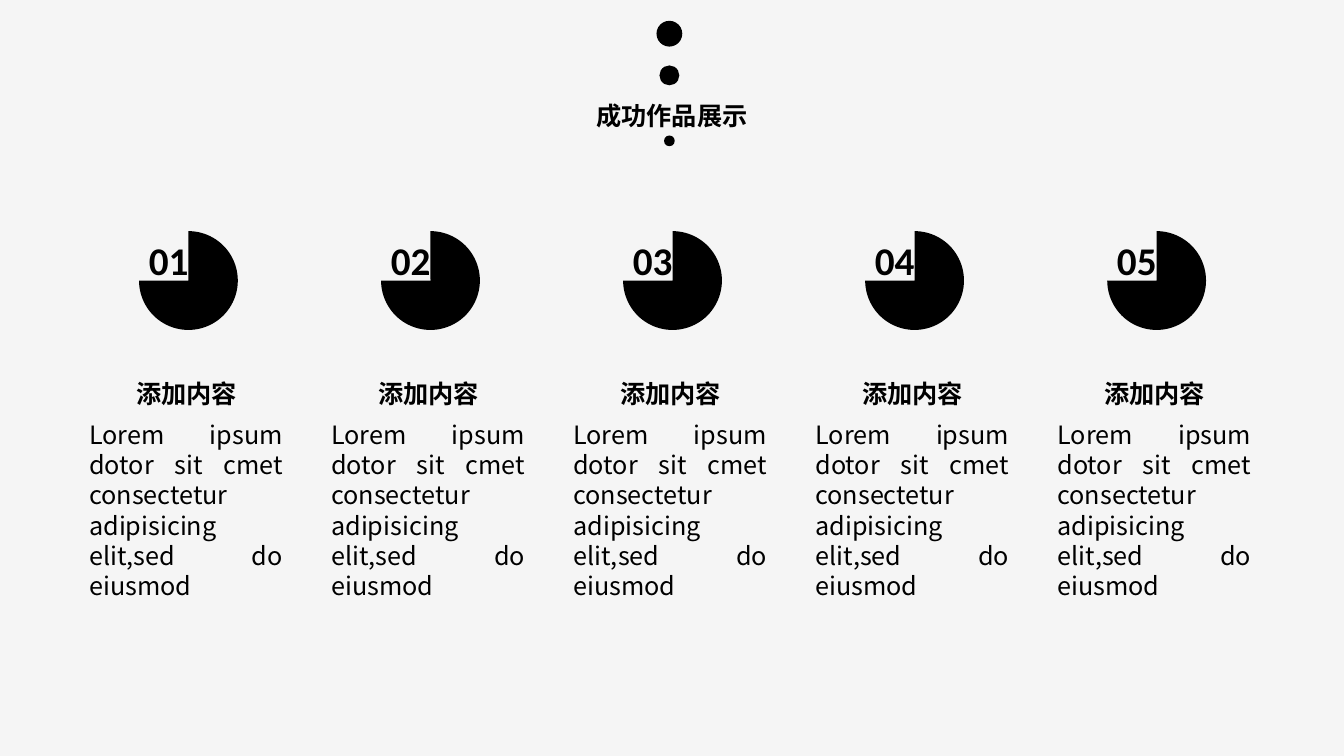
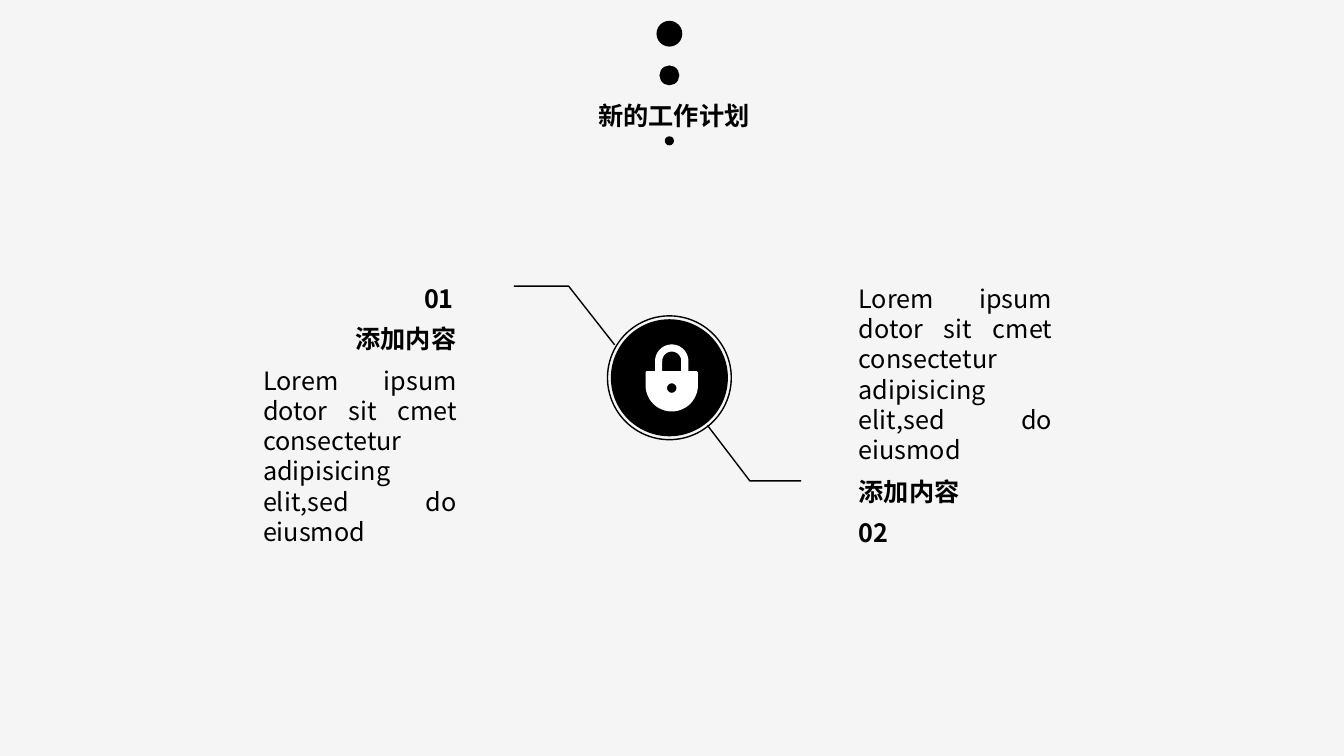
from math import cos, pi, sin

from lxml.etree import SubElement
from pptx import Presentation
from pptx.dml.color import RGBColor
from pptx.enum.shapes import MSO_SHAPE as Kind
from pptx.enum.text import MSO_AUTO_SIZE as Fit, PP_ALIGN as Align
from pptx.oxml.ns import qn
from pptx.util import Cm, Pt

INK, PAPER, WHITE = "000000", "F5F5F5", "FFFFFF"
SANS, NUM = "Noto Sans CJK SC", "Calibri"
MID = 16.87  # centre of the dots and the badge
HEAD = "添加内容"
BODY = "Lorem ipsum dotor sit cmet consectetur adipisicing elit,sed do eiusmod"


def color(code):
    return RGBColor.from_string(code)


def arc(x, y, r, start, end, steps=24):
    """Points on a circle; degrees run clockwise from the right."""
    turns = [(start + (end - start) * i / steps) * pi / 180
             for i in range(steps + 1)]
    return [(x + r * cos(t), y + r * sin(t)) for t in turns]


class Deck:
    def __init__(self):
        self.prs = Presentation()
        self.prs.slide_width, self.prs.slide_height = Cm(33.87), Cm(19.05)

    def page(self, title, left, pip):
        """Start a slide with the shared background, dots and title."""
        self.slide = self.prs.slides.add_slide(self.prs.slide_layouts[6])
        fill = self.slide.background.fill
        fill.solid()
        fill.fore_color.rgb = color(PAPER)
        for y, size in ((0.85, 0.65), (1.9, 0.5), (3.55, pip)):
            self.disc(MID, y, size)
        self.text(title, left, 2.41, 4.32, 1.02, bold=True, wrap=False)

    def style(self, shape, fill=None, line=None):
        shape.shadow.inherit = False
        if fill:
            shape.fill.solid()
            shape.fill.fore_color.rgb = color(fill)
        else:
            shape.fill.background()
        if line:
            shape.line.color.rgb = color(line)
            shape.line.width = Pt(1)
        else:
            shape.line.fill.background()
        return shape

    def disc(self, x, y, size, fill=INK, line=None, kind=Kind.OVAL):
        """Add a round shape by its centre."""
        shape = self.slide.shapes.add_shape(
            kind, Cm(x - size / 2), Cm(y - size / 2), Cm(size), Cm(size))
        return self.style(shape, fill, line)

    def pie(self, x, y, size):
        """Add a disc without its upper left quarter."""
        shape = self.disc(x, y, size, kind=Kind.PIE)
        shape.adjustments[0], shape.adjustments[1] = 162, 108

    def draw(self, *paths, fill=None, line=None):
        """Add one outline; filled paths are closed."""
        pen = None
        for path in paths:
            dots = [(Cm(x), Cm(y)) for x, y in path]
            if pen is None:
                pen = self.slide.shapes.build_freeform(*dots[0])
            else:
                pen.move_to(*dots[0])
            pen.add_line_segments(dots[1:], close=fill is not None)
        self.style(pen.convert_to_shape(), fill, line)

    def text(self, words, x, y, w, h, size=18, font=SANS, bold=False,
             align=Align.LEFT, wrap=True):
        box = self.slide.shapes.add_textbox(Cm(x), Cm(y), Cm(w), Cm(h))
        frame = box.text_frame
        frame.word_wrap = wrap
        frame.auto_size = Fit.SHAPE_TO_FIT_TEXT
        frame.text = words
        para = frame.paragraphs[0]
        para.alignment = align
        run = para.runs[0]
        run.font.size, run.font.bold, run.font.name = Pt(size), bold, font
        run.font.color.rgb = color(INK)
        SubElement(run._r.get_or_add_rPr(), qn("a:ea")).set("typeface", SANS)

    def head(self, x, y):
        self.text(HEAD, x, y, 3.05, 1.02, font=NUM, bold=True, wrap=False)

    def body(self, x, y):
        self.text(BODY, x, y, 5.38, 4.88, align=Align.JUSTIFY)

    def lock(self, x, y):
        """Add a padlock; x, y is the middle of the body's top edge."""
        top, low = y - 0.25, y + 0.36
        shell = (arc(x, top, 0.42, 0, -180) + [(x - 0.42, y)]
                 + arc(x - 0.61, y + 0.05, 0.05, 270, 180, 6)
                 + arc(x, low, 0.66, 180, 0)
                 + arc(x + 0.61, y + 0.05, 0.05, 0, -90, 6)
                 + [(x + 0.42, y)])
        gap = arc(x, top, 0.24, 180, 360) + [(x + 0.24, y), (x - 0.24, y)]
        self.draw(shell, gap, arc(x, y + 0.43, 0.12, 0, 360), fill=WHITE)


def works(deck):
    deck.page("成功作品展示", 14.78, 0.27)
    for i in range(5):
        x = 2 + 6.1 * i
        deck.pie(x + 2.75, 7.07, 2.49)
        deck.text(f"{i + 1:02}", x + 1.5, 5.82, 2.36, 1.45, 28, NUM, True)
        deck.head(x + 1.18, 9.4)
        deck.body(x, 10.44)


def plan(deck):
    deck.page("新的工作计划", 14.83, 0.23)
    # Badge
    deck.disc(MID, 9.52, 2.95)
    deck.disc(MID, 9.52, 3.12, fill=None, line=INK)
    deck.lock(16.93, 9.35)
    # Leader lines
    deck.draw([(15.49, 8.69), (14.33, 7.21), (12.95, 7.21)], line=INK)
    deck.draw([(17.83, 10.72), (18.9, 12.12), (20.19, 12.12)], line=INK)
    # Left and right notes
    for num, spot, head, body in (
            ("01", (10.44, 7.01), (8.71, 8.03), (6.38, 9.07)),
            ("02", (21.39, 12.9), (21.39, 11.89), (21.39, 7.01))):
        deck.text(num, *spot, 1.63, 1.02, bold=True)
        deck.head(*head)
        deck.body(*body)


def main():
    deck = Deck()
    works(deck)
    plan(deck)
    deck.prs.save("out.pptx")


if __name__ == "__main__":
    main()
